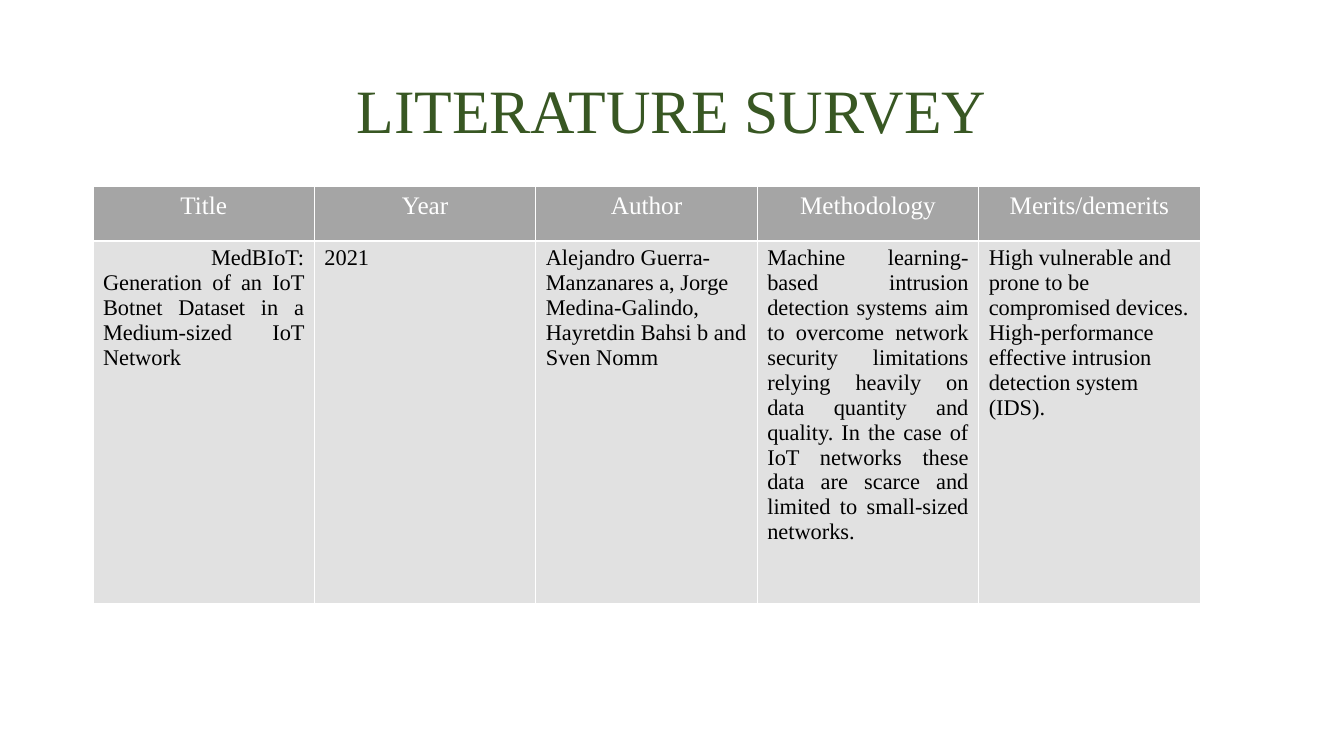
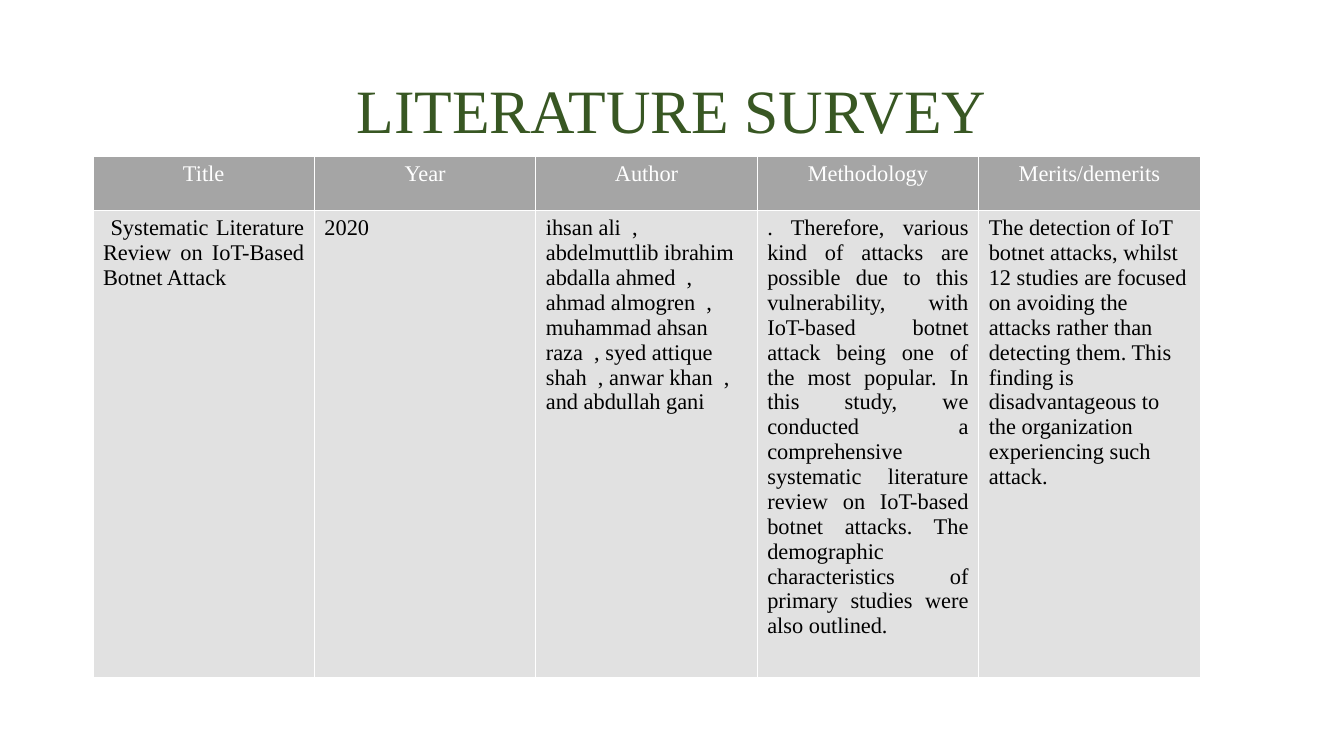
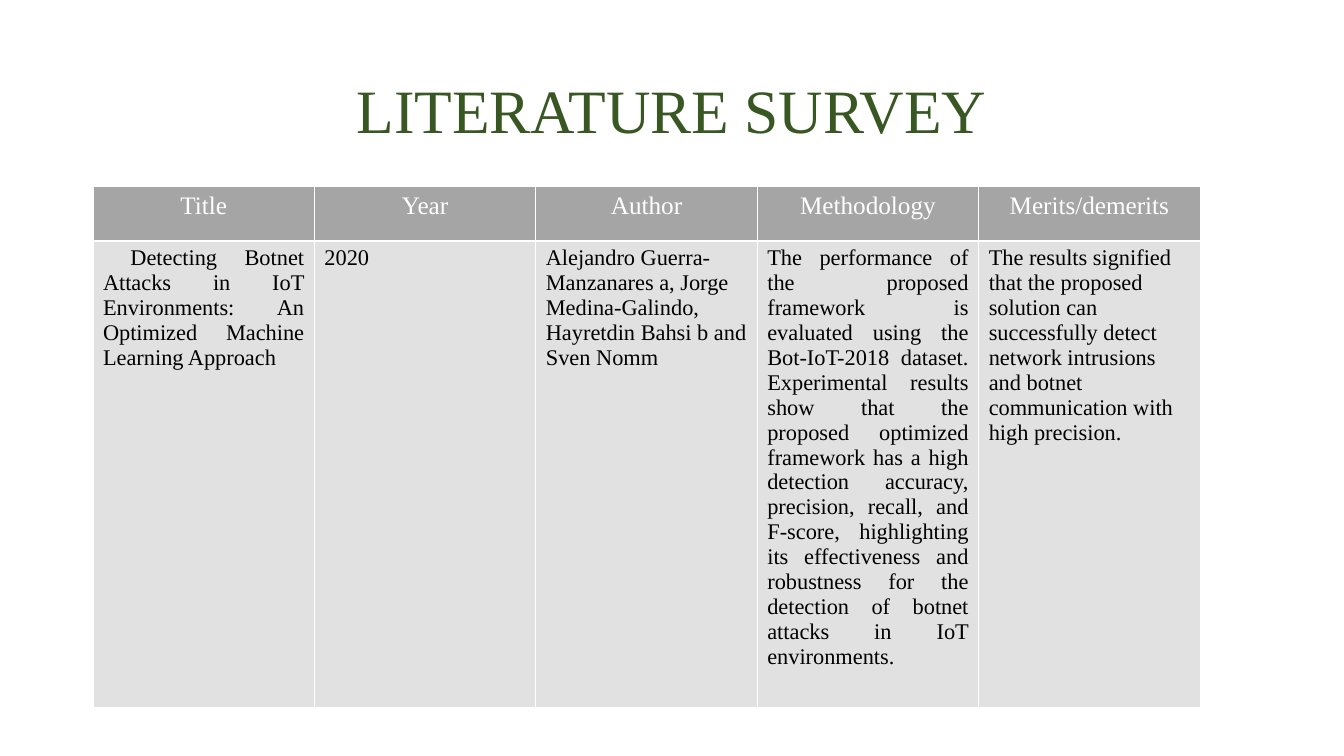
import pptx
import pptx.dml.color
import pptx.enum.text
import pptx.util
from lxml import etree
from pptx.oxml import ns

Pt = pptx.util.Pt
ALIGN = pptx.enum.text.PP_ALIGN
FONT = "Times New Roman"
GREEN, GREY, PALE = "385723", "A5A5A5", "E1E1E1"
WHITE, BLACK = "FFFFFF", "000000"
LEFT, WIDTH = 66.4, 791
HEAD_H = 38.9
HEADS = ["Title", "Year", "Author", "Methodology", "Merits/demerits"]
ALIGNS = [ALIGN.JUSTIFY, ALIGN.JUSTIFY, ALIGN.LEFT, ALIGN.JUSTIFY, ALIGN.LEFT]
GUERRA = ("Alejandro Guerra-Manzanares a, Jorge Medina-Galindo, "
          "Hayretdin Bahsi b and Sven Nomm")

# Each survey: table top, body row height, header text size, body cells.
# A line break in a cell starts a new paragraph.
SURVEYS = [
    (133.2, 259.2, 18, [
        " MedBIoT: Generation of an IoT Botnet Dataset in a Medium-sized IoT Network",
        "2021",
        GUERRA,
        "Machine learning-based intrusion detection systems aim to overcome "
        "network security limitations relying heavily on data quantity and "
        "quality. In the case of IoT networks these data are scarce and "
        "limited to small-sized networks. ",
        "High vulnerable and prone to be compromised devices.\n"
        "High-performance effective intrusion detection system (IDS).",
    ]),
    (111.6, 327, 16, [
        " Systematic Literature Review on IoT-Based Botnet Attack",
        "2020",
        "ihsan ali  , abdelmuttlib ibrahim abdalla ahmed  , ahmad almogren  , "
        "muhammad ahsan raza  , syed attique shah  , anwar khan  , "
        "and abdullah gani",
        ". Therefore, various kind of attacks are possible due to this "
        "vulnerability, with IoT-based botnet attack being one of the most "
        "popular. In this study, we conducted a comprehensive systematic "
        "literature review on IoT-based botnet attacks. The demographic "
        "characteristics of primary studies were also outlined. ",
        "The detection of IoT botnet attacks, whilst 12 studies are focused on "
        "avoiding the attacks rather than detecting them. This finding is "
        "disadvantageous to the organization experiencing such attack.",
    ]),
    (133.2, 309, 18, [
        " Detecting Botnet Attacks in IoT Environments: An Optimized Machine "
        "Learning Approach",
        "2020",
        GUERRA,
        "The performance of the proposed framework is evaluated using the "
        "Bot-IoT-2018 dataset. Experimental results show that the proposed "
        "optimized framework has a high detection accuracy, precision, recall, "
        "and F-score, highlighting its effectiveness and robustness for the "
        "detection of botnet attacks in IoT environments.",
        "The results signified that the proposed solution can successfully "
        "detect network intrusions and botnet communication with high precision.",
    ]),
]


def color(code):
    return pptx.dml.color.RGBColor.from_string(code)


def write(frame, text, size, ink, align):
    """Fill a text frame, one paragraph for each line of text."""
    for i, line in enumerate(text.split("\n")):
        para = frame.add_paragraph() if i else frame.paragraphs[0]
        para.alignment = align
        run = para.add_run()
        run.text = line
        font = run.font
        font.name, font.size, font.bold = FONT, Pt(size), False
        font.color.rgb = color(ink)


def border(cell):
    """Draw a thin white line on all four sides of a cell."""
    props = cell._tc.get_or_add_tcPr()
    for side in ("lnL", "lnR", "lnT", "lnB"):
        line = etree.SubElement(props, ns.qn("a:" + side), w=str(Pt(1)))
        fill = etree.SubElement(line, ns.qn("a:solidFill"))
        etree.SubElement(fill, ns.qn("a:srgbClr"), val=WHITE)


def paint(cell, text, size, ink, align, back):
    border(cell)
    cell.fill.solid()
    cell.fill.fore_color.rgb = color(back)
    write(cell.text_frame, text, size, ink, align)


def title(slide, text):
    box = slide.shapes.add_textbox(Pt(66), Pt(28.8), Pt(828), Pt(104.4))
    frame = box.text_frame
    frame.word_wrap = True
    frame.vertical_anchor = pptx.enum.text.MSO_ANCHOR.MIDDLE
    write(frame, text, 44, GREEN, ALIGN.CENTER)
    frame.paragraphs[0].line_spacing = 0.9


def table(slide, top, height, size, texts):
    grid = slide.shapes.add_table(2, len(HEADS), Pt(LEFT), Pt(top), Pt(WIDTH),
                                  Pt(HEAD_H + height)).table
    grid.horz_banding = False
    grid.rows[0].height, grid.rows[1].height = Pt(HEAD_H), Pt(height)
    for i, (head, text, align) in enumerate(zip(HEADS, texts, ALIGNS)):
        grid.columns[i].width = Pt(WIDTH / len(HEADS))
        paint(grid.cell(0, i), head, size, WHITE, ALIGN.CENTER, GREY)
        paint(grid.cell(1, i), text, 16, BLACK, align, PALE)


def main():
    deck = pptx.Presentation()
    deck.slide_width, deck.slide_height = Pt(960), Pt(540)
    for survey in SURVEYS:
        slide = deck.slides.add_slide(deck.slide_layouts[6])
        title(slide, "LITERATURE SURVEY")
        table(slide, *survey)
    deck.save("out.pptx")


if __name__ == "__main__":
    main()
